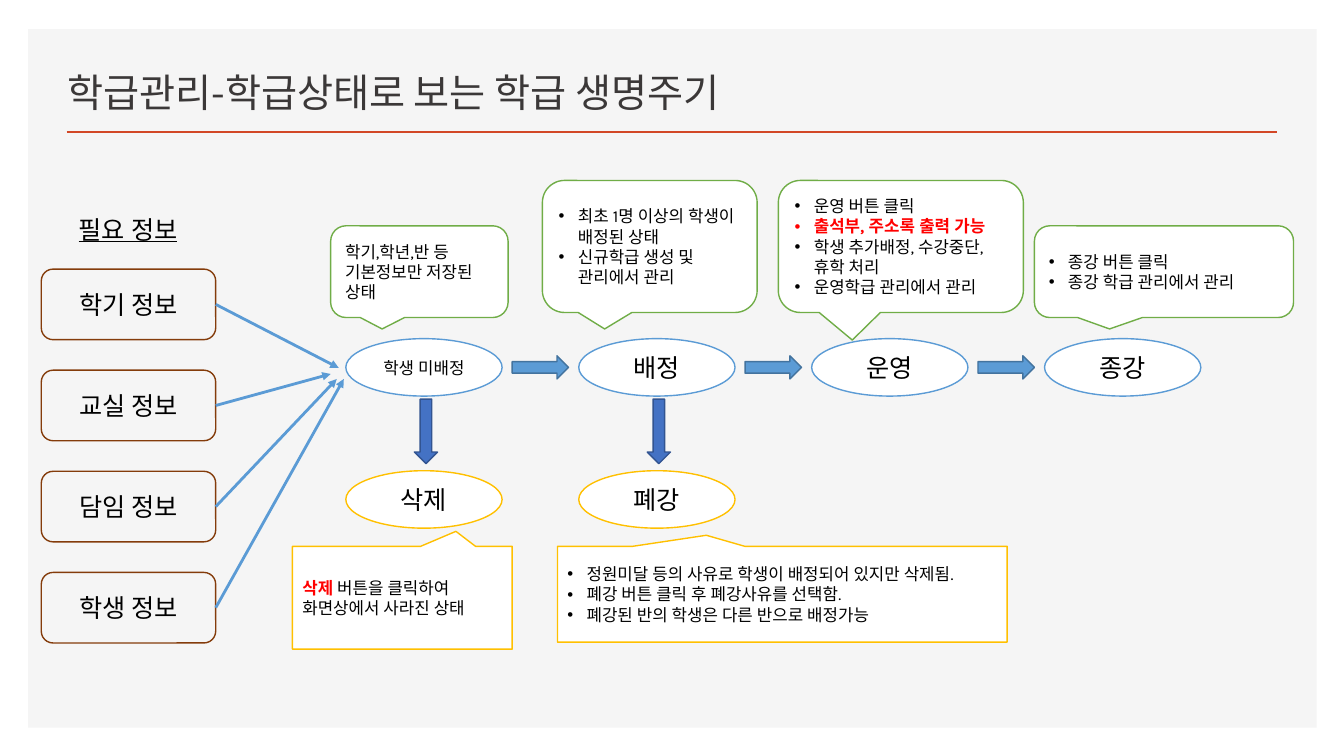
from lxml import etree
from pptx import Presentation
from pptx.dml.color import RGBColor
from pptx.enum.shapes import MSO_CONNECTOR, MSO_SHAPE
from pptx.enum.text import MSO_ANCHOR, PP_ALIGN
from pptx.oxml.ns import qn
from pptx.util import Inches, Pt

RECT, OVAL, ROUNDED = MSO_SHAPE.RECTANGLE, MSO_SHAPE.OVAL, MSO_SHAPE.ROUNDED_RECTANGLE
RIGHT, DOWN = MSO_SHAPE.RIGHT_ARROW, MSO_SHAPE.DOWN_ARROW
ROUND_CALLOUT = MSO_SHAPE.ROUNDED_RECTANGULAR_CALLOUT
RECT_CALLOUT = MSO_SHAPE.RECTANGULAR_CALLOUT
STRAIGHT = MSO_CONNECTOR.STRAIGHT
MIDDLE, BOTTOM = MSO_ANCHOR.MIDDLE, MSO_ANCHOR.BOTTOM
LEFT, CENTER = PP_ALIGN.LEFT, PP_ALIGN.CENTER

BODY_FONT, TITLE_FONT = "Karla", "Noto Sans CJK KR"
BLACK, WHITE, RED = "000000", "FFFFFF", "FF0000"
BLUE, GREEN, GOLD, BROWN = "5B9BD5", "70AD47", "FFC000", "843C0B"

prs = Presentation()
prs.slide_width, prs.slide_height = Inches(13.33), Inches(7.5)
slide = prs.slides.add_slide(prs.slide_layouts[6])
shapes = slide.shapes


def add_box(kind, box, fill=None, line=None, adjust=()):
    """Add a preset shape without shadow; a missing fill or line stays empty."""
    shape = shapes.add_shape(kind, *map(Inches, box))
    shape.shadow.inherit = False
    if fill:
        shape.fill.solid()
        shape.fill.fore_color.rgb = RGBColor.from_string(fill)
    else:
        shape.fill.background()
    if line:
        shape.line.color.rgb = RGBColor.from_string(line)
        shape.line.width = Pt(1)
    else:
        shape.line.fill.background()
    for index, value in enumerate(adjust):
        shape.adjustments[index] = value
    return shape


def write(shape, paragraphs, size, align=CENTER, anchor=MIDDLE, bullets=False, font=BODY_FONT):
    """Fill a shape with paragraphs, each a list of (text, format values) runs."""
    frame = shape.text_frame
    frame.word_wrap = True
    frame.vertical_anchor = anchor
    for index, runs in enumerate(paragraphs):
        paragraph = frame.paragraphs[0] if index == 0 else frame.add_paragraph()
        paragraph.alignment = align
        if bullets:
            properties = paragraph._p.get_or_add_pPr()
            properties.set("marL", str(Inches(0.19)))
            properties.set("indent", str(-Inches(0.19)))
            etree.SubElement(properties, qn("a:buFont")).set("typeface", "Arial")
            etree.SubElement(properties, qn("a:buChar")).set("char", "•")
        for text, values in runs:
            run = paragraph.add_run()
            run.text = text
            values = {"size": Pt(size), "name": font, "color": BLACK, **values}
            run.font.color.rgb = RGBColor.from_string(values.pop("color"))
            for attribute, value in values.items():
                setattr(run.font, attribute, value)
            etree.SubElement(run._r.rPr, qn("a:ea")).set("typeface", font)


# Background panel and title
add_box(RECT, (0.28, 0.29, 12.78, 6.93), "F5F5F5")
title = shapes.add_textbox(*map(Inches, (0.57, 0.49, 9.42, 0.7)))
write(title, [[("학급관리-학급상태로 보는 학급 생명주기", {"color": "3B3838"})]],
      28, LEFT, BOTTOM, font=TITLE_FONT)

# Life cycle: states along the top row, endings below the first two
STATE_X, STATE_STEP = 3.43, 2.31
STATES = [("학생 미배정", 12), ("배정", 18), ("운영", 18), ("종강", 18)]
ENDINGS = [("삭제", 18), ("폐강", 18)]
for row, top, outline in [(STATES, 3.36, BLUE), (ENDINGS, 4.67, GOLD)]:
    for column, (label, size) in enumerate(row):
        state = add_box(OVAL, (STATE_X + column * STATE_STEP, top, 1.55, 0.57), WHITE, outline)
        write(state, [[(label, {})]], size)
for column in range(len(STATES) - 1):
    add_box(RIGHT, (5.08 + column * STATE_STEP, 3.53, 0.56, 0.23), BLUE, "43739E")
for column in range(len(ENDINGS)):
    add_box(DOWN, (4.11 + column * STATE_STEP, 3.96, 0.23, 0.64), "4472C4", "325491")

# Callouts explaining each state
ALERT = {"color": RED, "bold": True}
TIP = (-0.21, 0.625, 0.167)
callouts = [
    (ROUND_CALLOUT, (3.28, 2.24, 1.76, 0.91), TIP, GREEN, False,
     [[("학기,학년,반 등 기본정보만 저장된 상태", {})]]),
    (ROUND_CALLOUT, (5.38, 1.79, 2.13, 1.31), TIP, GREEN, True,
     [[("최초 1명 이상의 학생이 배정된 상태", {})],
      [("신규학급 생성 및 관리에서 관리", {})]]),
    (ROUND_CALLOUT, (7.72, 1.79, 2.43, 1.31), (-0.198, 0.709, 0.167), GREEN, True,
     [[("운영 버튼 클릭", {})],
      [("출석부, 주소록 출력 가능", ALERT)],
      [("학생 추가배정, 수강중단, 휴학 처리", {})],
      [("운영학급 관리에서 관리", {})]]),
    (ROUND_CALLOUT, (10.26, 2.24, 2.57, 0.91), TIP, GREEN, True,
     [[("종강 버튼 클릭", {})],
      [("종강 학급 관리에서 관리", {})]]),
    (RECT_CALLOUT, (2.9, 5.42, 2.18, 1.02), (0.244, -0.646), GOLD, False,
     [[("삭제", ALERT), (" 버튼을 클릭하여 화면상에서 사라진 상태", {})]]),
    (RECT_CALLOUT, (5.53, 5.42, 4.46, 0.95), (-0.169, -0.616), GOLD, True,
     [[("정원미달 등의 사유로 학생이 배정되어 있지만 삭제됨.", {})],
      [("폐강 버튼 클릭 후 폐강사유를 선택함.", {})],
      [("폐강된 반의 학생은 다른 반으로 배정가능", {})]]),
]
for kind, box, tip, outline, bullets, paragraphs in callouts:
    write(add_box(kind, box, WHITE, outline, tip), paragraphs, 12, LEFT, bullets=bullets)

# Required information
heading = shapes.add_textbox(*map(Inches, (0.48, 2.08, 1.58, 0.4)))
write(heading, [[("필요 정보", {"underline": True})]], 18, anchor=MSO_ANCHOR.TOP)
INFO_TOP, INFO_STEP = 2.67, 1.003
lines = [((0.66, 1.31), (12.67, 1.31), "D24726", False)]
arrow_ends = [(3.36, 3.65), (3.28, 3.71), (3.34, 3.76), (3.41, 3.76)]
for row, (subject, end) in enumerate(zip(["학기", "교실", "담임", "학생"], arrow_ends)):
    top = INFO_TOP + row * INFO_STEP
    write(add_box(ROUNDED, (0.41, top, 1.73, 0.7), line=BROWN), [[(subject + " 정보", {})]], 18)
    lines.append(((2.14, top + 0.35), end, BLUE, True))

# Title rule and arrows into the first state
for start, end, color, arrowhead in lines:
    connector = shapes.add_connector(STRAIGHT, *map(Inches, start + end))
    connector.line.color.rgb = RGBColor.from_string(color)
    connector.line.width = Pt(2)
    if arrowhead:
        etree.SubElement(connector.line._get_or_add_ln(), qn("a:tailEnd")).set("type", "triangle")
    etree.SubElement(connector._element.spPr, qn("a:effectLst"))

prs.save("out.pptx")
